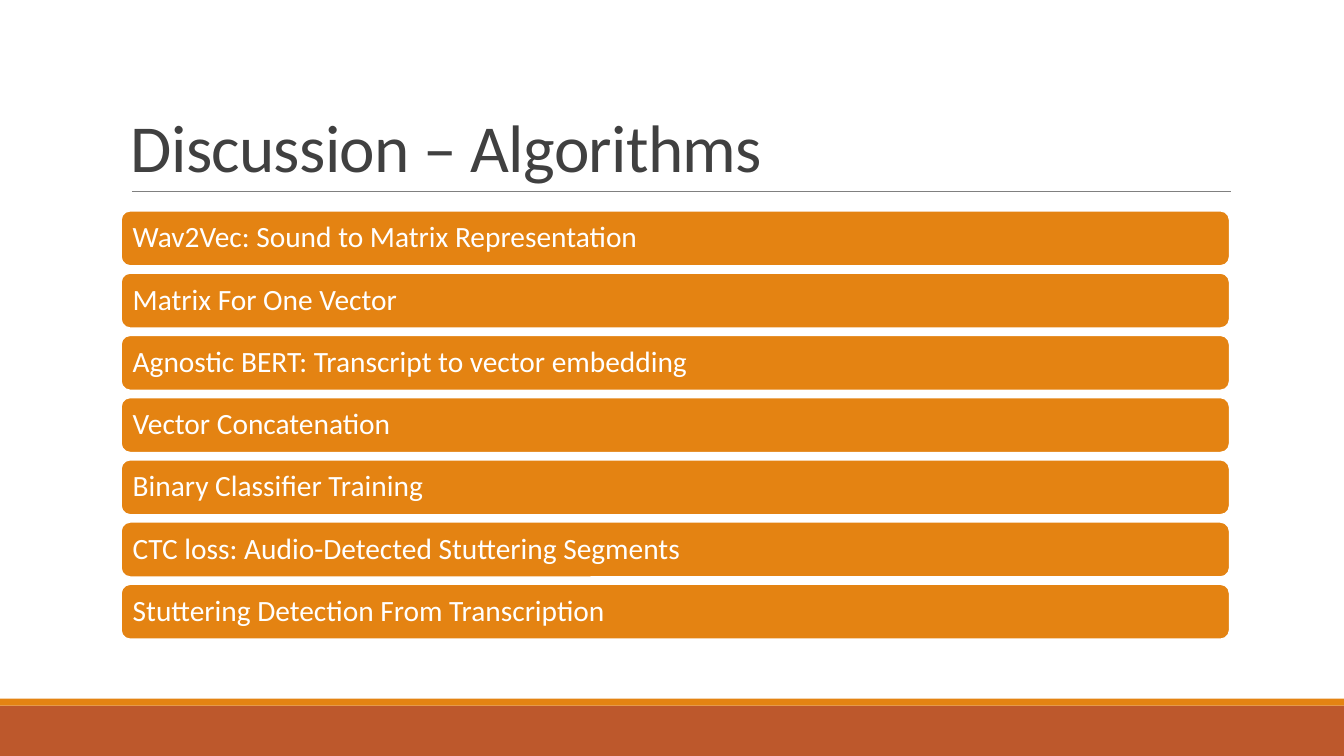
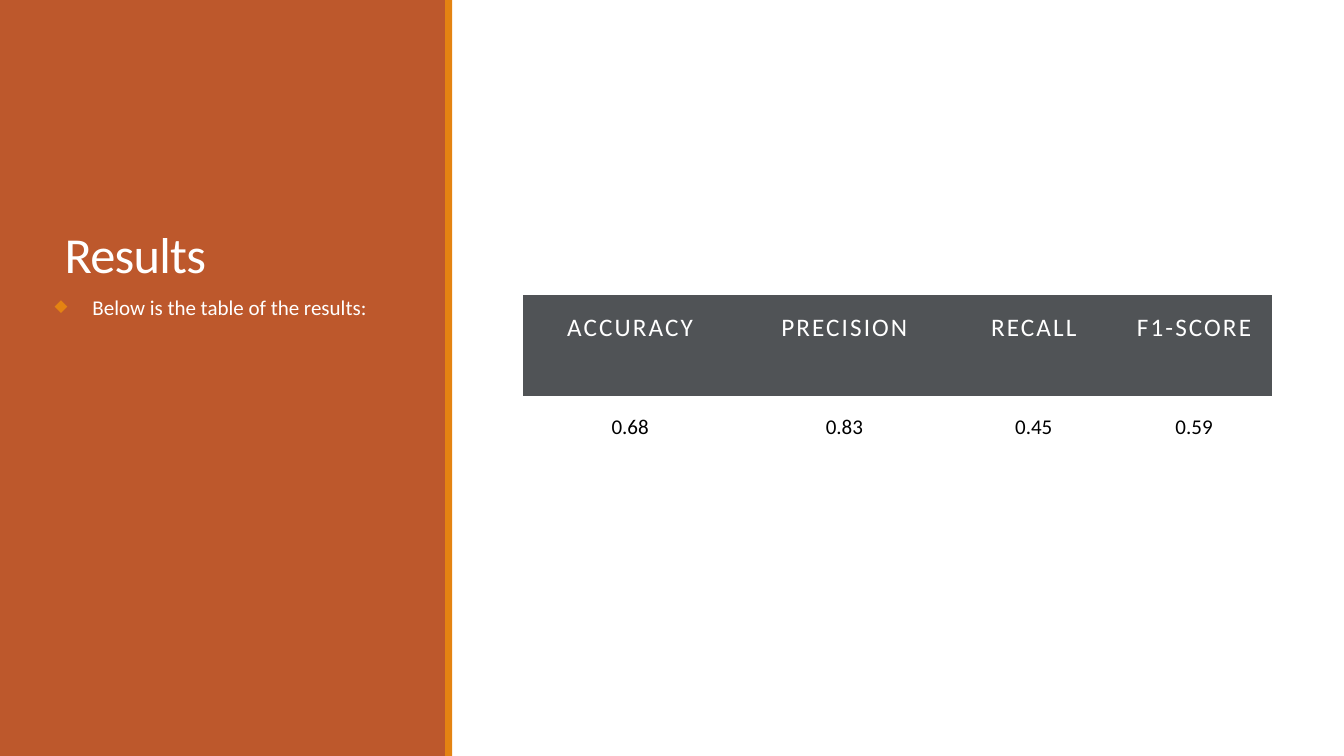
from lxml import etree
from pptx import Presentation
from pptx.dml.color import RGBColor
from pptx.enum.shapes import MSO_CONNECTOR, MSO_SHAPE
from pptx.enum.text import MSO_ANCHOR, PP_ALIGN
from pptx.oxml.ns import qn
from pptx.util import Pt

RECT, ROUNDED = MSO_SHAPE.RECTANGLE, MSO_SHAPE.ROUNDED_RECTANGLE
STRAIGHT = MSO_CONNECTOR.STRAIGHT
TOP, MIDDLE, BOTTOM = MSO_ANCHOR.TOP, MSO_ANCHOR.MIDDLE, MSO_ANCHOR.BOTTOM
LEFT, CENTER = PP_ALIGN.LEFT, PP_ALIGN.CENTER

FONT = "Calibri"
COLORS = {
    "rust": "BD582C",
    "orange": "E48312",
    "white": "FFFFFF",
    "title": "404040",
    "rule": "808080",
    "header": "505356",
    "black": "000000",
}
WIDTH, HEIGHT = 960, 540
STRIPE = 5
NO_STYLE = "{2D5ABB26-0587-4C30-8999-92F81FD0307C}"
TITLE = {"anchor": BOTTOM, "tracking": -0.5, "line_spacing": 0.85}


def write(frame, text, size, color, anchor=TOP, align=LEFT, tracking=0,
          line_spacing=1.0, margins=(7.2, 3.6)):
    """Fill a text frame or table cell; margins are (sides, top and bottom)."""
    frame.margin_left = frame.margin_right = Pt(margins[0])
    frame.margin_top = frame.margin_bottom = Pt(margins[1])
    frame.vertical_anchor = anchor
    frame.word_wrap = True
    para = getattr(frame, "text_frame", frame).paragraphs[0]
    para.alignment = align
    para.line_spacing = line_spacing
    span = para.add_run()
    span.text = text
    span.font.name = FONT
    span.font.size = Pt(size)
    span.font.color.rgb = RGBColor.from_string(COLORS[color])
    if tracking:
        span.font._element.set("spc", str(int(tracking * 100)))
    return para


def add_box(page, kind, left, top, width, height, color):
    box = page.shapes.add_shape(kind, Pt(left), Pt(top), Pt(width), Pt(height))
    box.shadow.inherit = False
    box.fill.solid()
    box.fill.fore_color.rgb = RGBColor.from_string(COLORS[color])
    box.line.fill.background()
    return box


deck = Presentation()
deck.slide_width, deck.slide_height = Pt(WIDTH), Pt(HEIGHT)
blank = deck.slide_layouts[6]

# Slide 1: footer bands, title and rule
page = deck.slides.add_slide(blank)
add_box(page, RECT, 0, 504, WIDTH, 36, "rust")
add_box(page, RECT, 0, 499, WIDTH, STRIPE, "orange")
rule = page.shapes.add_connector(STRAIGHT, Pt(94.3), Pt(136.8), Pt(879), Pt(136.8))
rule.line.color.rgb = RGBColor.from_string(COLORS["rule"])
rule.line.width = Pt(0.5)
etree.SubElement(rule._element.spPr, qn("a:effectLst"))
title = page.shapes.add_textbox(Pt(86.4), Pt(22.5), Pt(792), Pt(114.3))
write(title.text_frame, "Discussion – Algorithms", 48, "title", **TITLE)

# Algorithm bars
algorithms = [
    "Wav2Vec: Sound to Matrix Representation",
    "Matrix For One Vector",
    "Agnostic BERT: Transcript to vector embedding",
    "Vector Concatenation",
    "Binary Classifier Training",
    "CTC loss: Audio-Detected Stuttering Segments",
    "Stuttering Detection From Transcription",
]
for index, algorithm in enumerate(algorithms):
    bar = add_box(page, ROUNDED, 86.4, 150.5 + index * 44.45, 792, 39.5, "orange")
    bar.line.color.rgb = RGBColor.from_string(COLORS["white"])
    bar.line.width = Pt(1.25)
    write(bar.text_frame, algorithm, 21, "white", anchor=MIDDLE,
          line_spacing=0.9, margins=(6.5, 0))

# Slide 2: side panel
page = deck.slides.add_slide(blank)
add_box(page, RECT, 0, 0, 319, HEIGHT, "rust")
add_box(page, RECT, 318, 0, STRIPE, HEIGHT, "orange")
title = page.shapes.add_textbox(Pt(39), Pt(41), Pt(242.5), Pt(165.5))
write(title.text_frame, "Results", 36, "white", **TITLE)
body = page.shapes.add_textbox(Pt(39), Pt(209), Pt(242.5), Pt(263))
para = write(body.text_frame, "Below is the table of the results:", 15, "white",
             line_spacing=0.9, margins=(0, 3.6))
para.space_before = Pt(10)

# Diamond bullet
properties = para._p.get_or_add_pPr()
properties.set("marL", str(Pt(27)))
properties.set("indent", str(-Pt(27)))
bullet_color = etree.SubElement(properties, qn("a:buClr"))
etree.SubElement(bullet_color, qn("a:srgbClr"), val=COLORS["orange"])
etree.SubElement(properties, qn("a:buSzPct"), val="80000")
etree.SubElement(properties, qn("a:buChar"), char="◆")

# Results table
results = [
    ["ACCURACY", "PRECISION", "RECALL", "F1-SCORE"],
    ["0.68", "0.83", "0.45", "0.59"],
]
column_widths = [153.3, 152.7, 118, 111]
row_heights = [72.5, 46.5]
table = page.shapes.add_table(
    len(results), len(column_widths), Pt(373.5), Pt(210.5),
    Pt(sum(column_widths)), Pt(sum(row_heights))).table
table._tbl.tblPr.find(qn("a:tableStyleId")).text = NO_STYLE
for column, width in zip(table.columns, column_widths):
    column.width = Pt(width)
for row, height, texts in zip(table.rows, row_heights, results):
    row.height = Pt(height)
    is_header = texts is results[0]
    for cell, text in zip(row.cells, texts):
        if is_header:
            cell.fill.solid()
            cell.fill.fore_color.rgb = RGBColor.from_string(COLORS["header"])
        else:
            cell.fill.background()
        write(cell, text, 18 if is_header else 15,
              "white" if is_header else "black", align=CENTER,
              tracking=1.5 if is_header else 0, margins=(13, 13))

deck.save("out.pptx")
